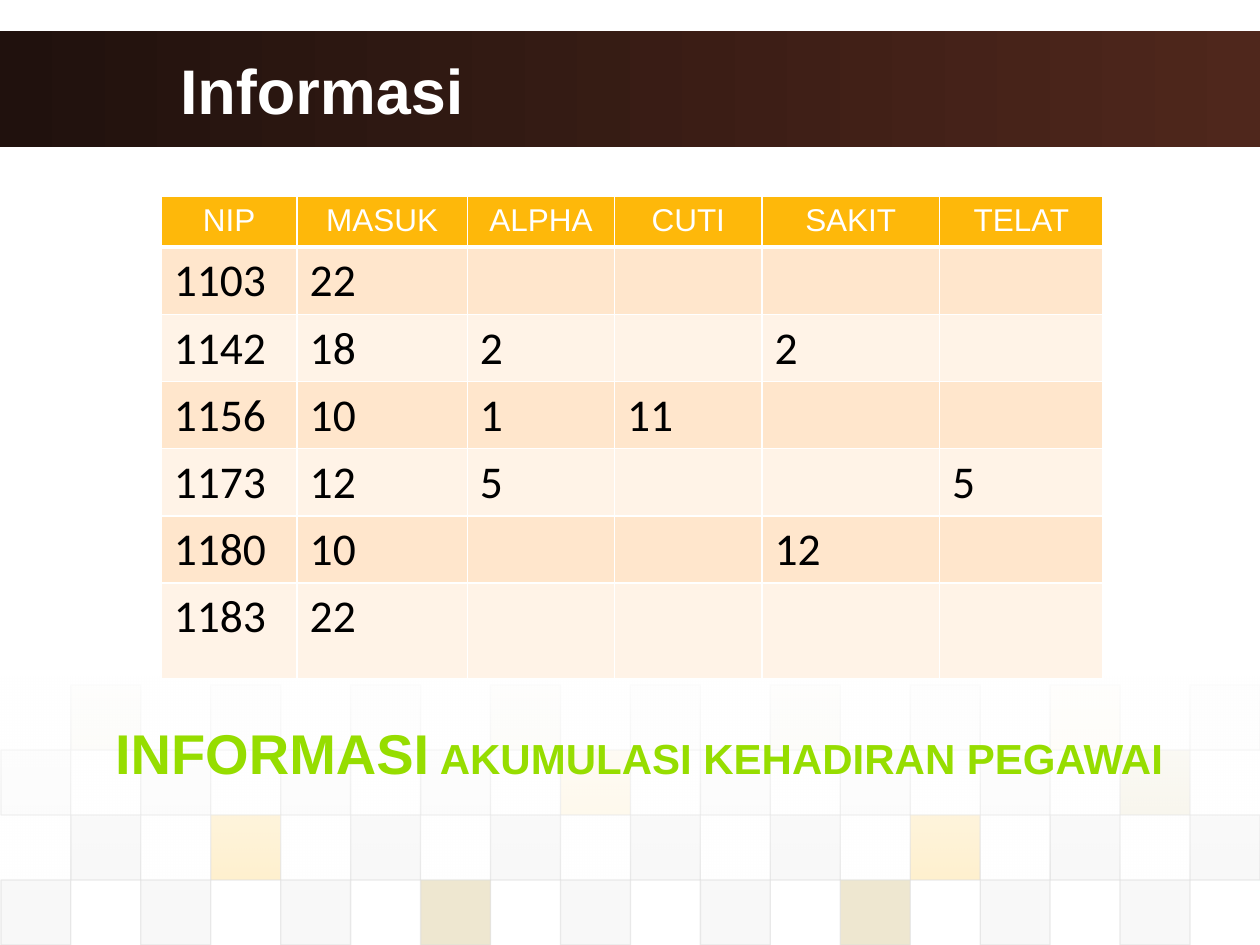
from dataclasses import dataclass

from pptx import Presentation
from pptx.dml.color import RGBColor
from pptx.enum.shapes import MSO_SHAPE
from pptx.enum.text import MSO_ANCHOR, PP_ALIGN
from pptx.oxml import parse_xml
from pptx.oxml.ns import nsdecls, qn
from pptx.oxml.xmlchemy import OxmlElement
from pptx.shapes.autoshape import Shape
from pptx.slide import Slide
from pptx.table import _Cell
from pptx.text.text import _Paragraph
from pptx.util import Cm, Pt

WHITE = RGBColor(0xFF, 0xFF, 0xFF)
BLACK = RGBColor(0x00, 0x00, 0x00)
DARK = RGBColor(0x20, 0x11, 0x0D)
BROWN = RGBColor(0x4F, 0x27, 0x1C)
AMBER = RGBColor(0xFE, 0xB8, 0x0A)
OLIVE = RGBColor(0xAA, 0x8A, 0x14)
GREY = RGBColor(0xDD, 0xDD, 0xDD)
PALE = RGBColor(0xEA, 0xEA, 0xEA)
PEACH = RGBColor(0xFF, 0xE6, 0xCC)
CREAM = RGBColor(0xFF, 0xF3, 0xE7)
LIME = RGBColor(0x96, 0xDD, 0x00)

WIDTH, HEIGHT = 25.4, 19.05
TILE_W, TILE_H = 1.41, 1.31
TILE_X, TILE_Y = 0.02, 13.81
HUES = {"A": AMBER, "O": OLIVE, "G": GREY, "P": PALE}


@dataclass
class Band:
    """One row of tiles: every second column, from column `start`."""
    start: int
    tiles: str
    alpha: int


@dataclass
class Font:
    name: str
    size: int
    color: RGBColor
    bold: bool = False


BANDS = [
    Band(1, "OPPOGOPAP", 5),
    Band(0, "GGGGAGGGO", 10),
    Band(1, "GAGGGGAGG", 20),
    Band(0, "GGGOGGOGG", 20),
]

TITLE = Font("Arial", 36, WHITE, True)
HEAD = Font("Arial", 18, WHITE)
BODY = Font("Calibri", 26, BLACK)
BIG = Font("Arial", 32, LIME, True)
SMALL = Font("Arial", 24, LIME, True)

COLS = [2.74, 3.43, 2.97, 2.97, 3.58, 3.3]
ROWS = [1.02] + [1.35] * 5 + [1.93]
DATA = [
    ["NIP", "MASUK", "ALPHA", "CUTI", "SAKIT", "TELAT"],
    ["1103", "22", "", "", "", ""],
    ["1142", "18", "2", "", "2", ""],
    ["1156", "10", "1", "11", "", ""],
    ["1173", "12", "5", "", "", "5"],
    ["1180", "10", "", "", "12", ""],
    ["1183", "22", "", "", "", ""],
]


def add_rect(slide: Slide, x: float, y: float, w: float, h: float) -> Shape:
    rect = slide.shapes.add_shape(MSO_SHAPE.RECTANGLE, Cm(x), Cm(y), Cm(w), Cm(h))
    rect.shadow.inherit = False
    rect.line.fill.background()
    return rect


def set_alpha(shape: Shape, *alphas: int) -> None:
    """Give each colour of the shape, in order, its opacity in percent."""
    for color, alpha in zip(shape._element.spPr.iter(qn("a:srgbClr")), alphas):
        node = OxmlElement("a:alpha")
        node.set("val", str(alpha * 1000))
        color.append(node)


def blend(shape: Shape, first: RGBColor, last: RGBColor, angle: int) -> None:
    shape.fill.gradient()
    shape.fill.gradient_angle = angle
    for stop, color in zip(shape.fill.gradient_stops, (first, last)):
        stop.color.rgb = color


def add_tiles(slide: Slide) -> None:
    for row, band in enumerate(BANDS):
        for step, key in enumerate(band.tiles):
            x = TILE_X + TILE_W * (band.start + 2 * step)
            tile = add_rect(slide, x, TILE_Y + TILE_H * row, TILE_W, TILE_H)
            tile.fill.solid()
            tile.fill.fore_color.rgb = HUES[key]
            tile.line.color.rgb = GREY
            tile.line.width = Pt(0.75)
            set_alpha(tile, band.alpha, 60)


def add_run(para: _Paragraph, text: str, font: Font) -> None:
    run = para.add_run()
    run.text = text
    run.font.name = font.name
    run.font.size = Pt(font.size)
    run.font.bold = font.bold
    run.font.color.rgb = font.color


def add_label(slide: Slide, x: float, y: float, w: float, h: float,
              wrap: bool, align: PP_ALIGN, runs: list[tuple[str, Font]]) -> None:
    frame = slide.shapes.add_textbox(Cm(x), Cm(y), Cm(w), Cm(h)).text_frame
    frame.word_wrap = wrap
    frame.vertical_anchor = MSO_ANCHOR.MIDDLE
    para = frame.paragraphs[0]
    para.alignment = align
    for text, font in runs:
        add_run(para, text, font)


def set_edges(cell: _Cell, base: int) -> None:
    """Draw white cell borders, with the lower one `base` points wide."""
    props = cell._tc.get_or_add_tcPr()
    for place, (side, width) in enumerate(zip("LRTB", (1, 1, 1, base))):
        props.insert(place, parse_xml(
            f'<a:ln{side} {nsdecls("a")} w="{Pt(width)}"><a:solidFill>'
            f'<a:srgbClr val="{WHITE}"/></a:solidFill></a:ln{side}>'))


def add_grid(slide: Slide) -> None:
    table = slide.shapes.add_table(len(ROWS), len(COLS), Cm(3.25), Cm(3.96),
                                   Cm(sum(COLS)), Cm(sum(ROWS))).table
    for col, width in zip(table.columns, COLS):
        col.width = Cm(width)
    for row, height in zip(table.rows, ROWS):
        row.height = Cm(height)
    for r, texts in enumerate(DATA):
        for c, text in enumerate(texts):
            cell = table.cell(r, c)
            cell.fill.solid()
            cell.fill.fore_color.rgb = (PEACH if r % 2 else CREAM) if r else AMBER
            set_edges(cell, 1 if r else 3)
            para = cell.text_frame.paragraphs[0]
            para.alignment = PP_ALIGN.LEFT if r else PP_ALIGN.CENTER
            if text:
                add_run(para, text, BODY if r else HEAD)


def main() -> None:
    deck = Presentation()
    deck.slide_width, deck.slide_height = Cm(WIDTH), Cm(HEIGHT)
    slide = deck.slides.add_slide(deck.slide_layouts[6])

    banner = add_rect(slide, 0, 0.63, WIDTH, 2.34)
    blend(banner, DARK, BROWN, 0)
    add_tiles(slide)
    veil = add_rect(slide, 0, 13.64, WIDTH, 4.11)
    blend(veil, WHITE, WHITE, 270)
    set_alpha(veil, 90, 0)

    add_label(slide, 3.38, 0.63, 20.52, 2.34, True, PP_ALIGN.LEFT,
              [("Informasi", TITLE)])
    add_grid(slide)
    add_label(slide, 0.58, 14.27, 24.61, 1.8, False, PP_ALIGN.CENTER,
              [("INFORMASI", BIG), (" AKUMULASI KEHADIRAN PEGAWAI", SMALL)])
    deck.save("out.pptx")


if __name__ == "__main__":
    main()
